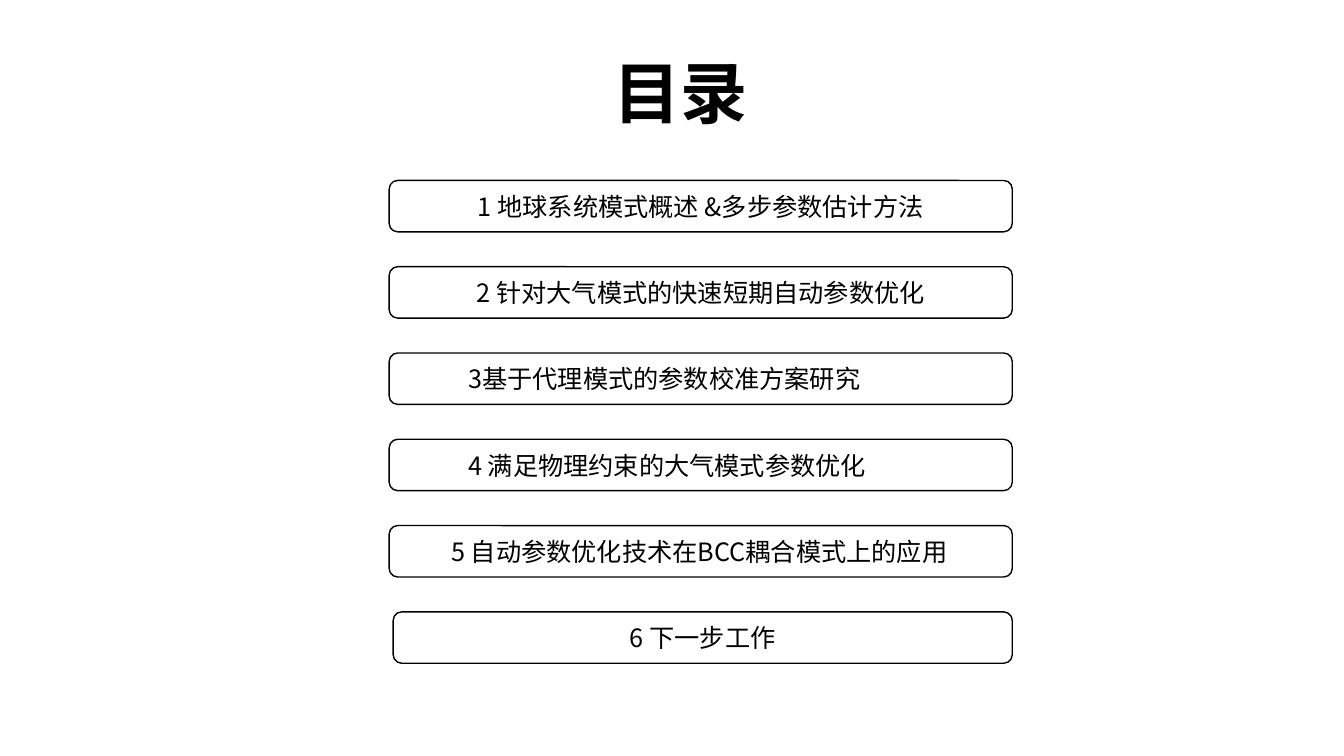
from dataclasses import dataclass

from lxml import etree
from pptx import Presentation
from pptx.dml.color import RGBColor
from pptx.enum.shapes import MSO_SHAPE
from pptx.enum.text import MSO_ANCHOR, PP_ALIGN
from pptx.oxml.ns import qn
from pptx.util import Inches, Pt

ROUNDED = MSO_SHAPE.ROUNDED_RECTANGLE
MIDDLE = MSO_ANCHOR.MIDDLE
CENTER, LEFT = PP_ALIGN.CENTER, PP_ALIGN.LEFT


@dataclass(frozen=True)
class Theme:
    ink: RGBColor = RGBColor(0, 0, 0)
    font: str = "Noto Sans CJK JP"
    title_size: Pt = Pt(48)
    entry_size: Pt = Pt(18)
    border: Pt = Pt(1)


THEME = Theme()

# Entry bars: shared right edge, even pitch from first to last top
BAR_LEFT, BAR_RIGHT, BAR_HEIGHT = 3.86, 10.04, 0.51
FIRST_TOP, LAST_TOP = 1.79, 6.07

# Text, alignment, indent and left edge of each entry
ENTRIES = [
    ("1 地球系统模式概述 &多步参数估计方法", CENTER, 0, BAR_LEFT),
    ("2 针对大气模式的快速短期自动参数优化", CENTER, 0, BAR_LEFT),
    ("3基于代理模式的参数校准方案研究", LEFT, 0.66, BAR_LEFT),
    ("4 满足物理约束的大气模式参数优化", LEFT, 0.66, BAR_LEFT),
    ("5 自动参数优化技术在BCC耦合模式上的应用", LEFT, 0.49, BAR_LEFT),
    ("6 下一步工作", CENTER, 0, 3.9),
]


def write_text(frame, text, align, **font_format):
    """Fill a frame with one vertically centred line in the theme font."""
    frame.word_wrap = True
    frame.vertical_anchor = MIDDLE
    paragraph = frame.paragraphs[0]
    paragraph.alignment = align
    run = paragraph.add_run()
    run.text = text
    run.font.color.rgb = THEME.ink
    for attribute, value in {"name": THEME.font, **font_format}.items():
        setattr(run.font, attribute, value)
    # East Asian characters take their own typeface element
    etree.SubElement(run.font._element, qn("a:ea"), typeface=THEME.font)
    return paragraph


def add_title(slide, text):
    title = slide.shapes.add_textbox(
        Inches(1), Inches(0.23), Inches(11.5), Inches(1.45))
    line = write_text(title.text_frame, text, CENTER,
                      size=THEME.title_size, bold=True)
    line.line_spacing = 0.9


def add_entry(slide, top, text, align, indent, left):
    bar = slide.shapes.add_shape(
        ROUNDED, Inches(left), Inches(top),
        Inches(BAR_RIGHT - left), Inches(BAR_HEIGHT))
    bar.shadow.inherit = False
    bar.fill.background()
    bar.line.color.rgb = THEME.ink
    bar.line.width = THEME.border
    bar.text_frame.margin_left = Inches(0.1 + indent)
    write_text(bar.text_frame, text, align, size=THEME.entry_size)


def main():
    deck = Presentation()
    deck.slide_width, deck.slide_height = Inches(13.33), Inches(7.5)
    slide = deck.slides.add_slide(deck.slide_layouts[6])

    # Heading
    add_title(slide, "目录")

    # Contents list
    pitch = (LAST_TOP - FIRST_TOP) / (len(ENTRIES) - 1)
    for row, entry in enumerate(ENTRIES):
        add_entry(slide, FIRST_TOP + row * pitch, *entry)

    deck.save("out.pptx")


if __name__ == "__main__":
    main()
